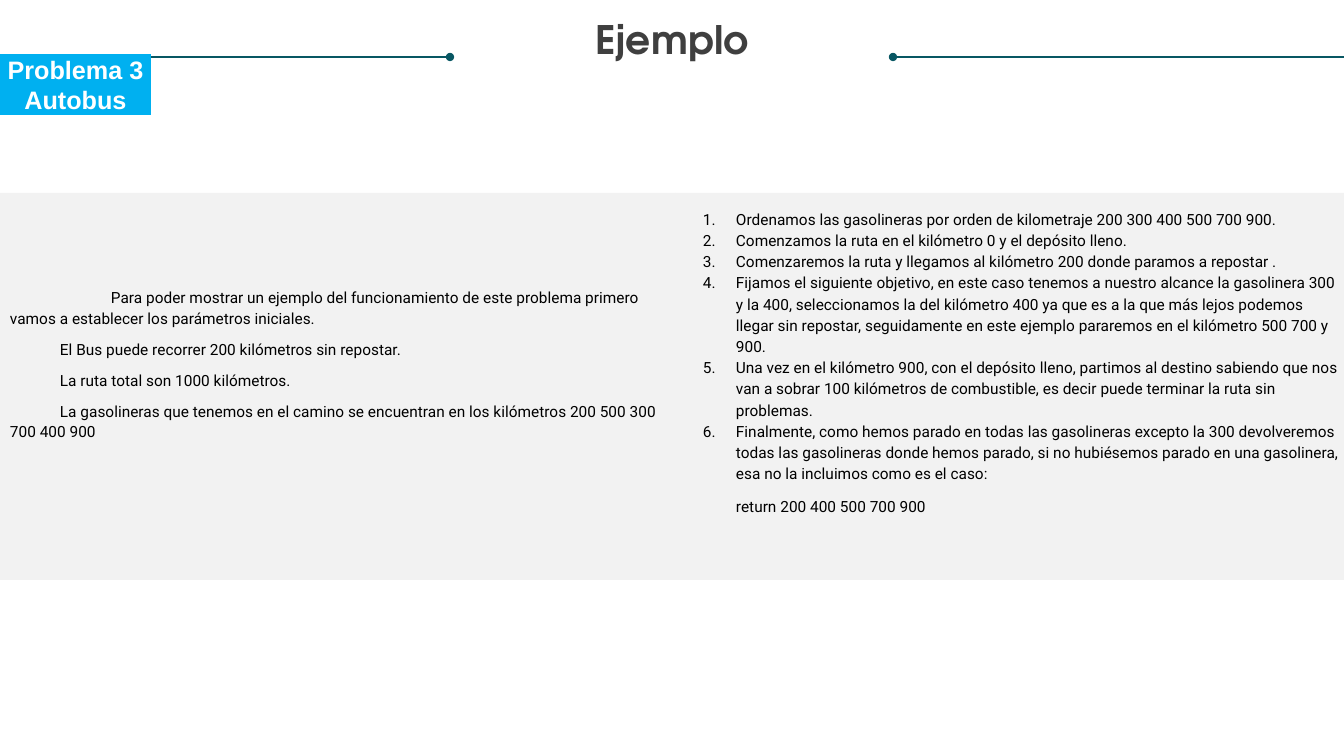
from dataclasses import dataclass

from lxml.etree import SubElement
from pptx import Presentation
from pptx.dml.color import RGBColor
from pptx.enum.shapes import MSO_CONNECTOR, MSO_SHAPE
from pptx.enum.text import MSO_ANCHOR, MSO_AUTO_SIZE, PP_ALIGN
from pptx.oxml.ns import qn
from pptx.util import Pt

SCALE = 12192000 / 1344


@dataclass(frozen=True)
class Theme:
    line: str = "085763"
    badge: str = "00B0F0"
    panel: str = "F2F2F2"
    title: str = "3F3F3F"
    body: str = "000000"
    light: str = "FFFFFF"
    head: str = "TeX Gyre Adventor"
    label: str = "Arial"
    text: str = "Roboto"
    big: int = 28
    mid: int = 18
    small: int = 11


THEME = Theme()

SETUP = [
    "Para poder mostrar un ejemplo del funcionamiento de este problema primero vamos a establecer los parámetros iniciales.",
    "El Bus puede recorrer 200 kilómetros sin repostar.",
    "La ruta total son 1000 kilómetros.",
    "La gasolineras que tenemos en el camino se encuentran en los kilómetros 200 500 300 700 400 900",
]
STEPS = [
    "Ordenamos las gasolineras por orden de kilometraje 200 300 400 500 700 900.",
    "Comenzamos la ruta en el kilómetro 0 y el depósito lleno.",
    "Comenzaremos la ruta y llegamos al kilómetro 200 donde paramos a repostar .",
    "Fijamos el siguiente objetivo, en este caso tenemos a nuestro alcance la gasolinera 300 y la 400, seleccionamos la del kilómetro 400 ya que es a la que más lejos podemos llegar sin repostar, seguidamente en este ejemplo pararemos en el kilómetro 500 700 y 900.",
    "Una vez en el kilómetro 900, con el depósito lleno, partimos al destino sabiendo que nos van a sobrar 100 kilómetros de combustible, es decir puede terminar la ruta sin problemas.",
    "Finalmente, como hemos parado en todas las gasolineras excepto la 300 devolveremos todas las gasolineras donde hemos parado, si no hubiésemos parado en una gasolinera, esa no la incluimos como es el caso:",
]
RESULT = "return 200 400 500 700 900"


def px(n):
    return round(n * SCALE)


def style(para, font, size, color, bold=False):
    for run in para.runs:
        run.font.name = font
        run.font.size = Pt(size)
        run.font.bold = bold
        run.font.color.rgb = RGBColor.from_string(color)


def inset(frame, left, top, right, bottom):
    frame.margin_left, frame.margin_top = px(left), px(top)
    frame.margin_right, frame.margin_bottom = px(right), px(bottom)
    frame.vertical_anchor = MSO_ANCHOR.TOP
    frame.word_wrap = True


def block(slide, box, fill):
    shape = slide.shapes.add_shape(MSO_SHAPE.RECTANGLE, *map(px, box))
    shape.shadow.inherit = False
    shape.fill.solid()
    shape.fill.fore_color.rgb = RGBColor.from_string(fill)
    shape.line.fill.background()
    return shape


def rule(slide, start, end, y):
    line = slide.shapes.add_connector(
        MSO_CONNECTOR.STRAIGHT, px(start), px(y), px(end), px(y))
    line.line.color.rgb = RGBColor.from_string(THEME.line)
    line.line.width = Pt(0.75)
    props = line._element.spPr
    SubElement(props.find(qn("a:ln")), qn("a:tailEnd"), type="oval")
    SubElement(props, qn("a:effectLst"))


def header(slide, box):
    left, top, width, height = box
    title = slide.shapes.title
    title.left, title.top = px(left + 25), px(top + 21)
    title.width, title.height = px(width - 50), px(height - 21)
    frame = title.text_frame
    frame.text = "Ejemplo"
    frame.auto_size = MSO_AUTO_SIZE.NONE
    inset(frame, 0, 0, 0, 0)
    para = frame.paragraphs[0]
    para.alignment = PP_ALIGN.CENTER
    para.line_spacing = 0.9
    style(para, THEME.head, THEME.big, THEME.title, True)
    for start, end in ((left, left + 450), (left + width, left + width - 451)):
        rule(slide, start, end, top + 57)


def badge(slide, box):
    frame = block(slide, box, THEME.badge).text_frame
    inset(frame, 0, 0, 0, 0)
    para = frame.paragraphs[0]
    para.text = "Problema 3\vAutobus"
    para.alignment = PP_ALIGN.CENTER
    style(para, THEME.label, THEME.mid, THEME.light, True)


def panel(slide, box, top, items):
    frame = block(slide, box, THEME.panel).text_frame
    inset(frame, 10, top, 10, 5)
    frame.text = "\n".join(item[0] for item in items)
    for para, (_, margin, indent, space, gap, count) in zip(frame.paragraphs, items):
        para.alignment = PP_ALIGN.LEFT
        para.line_spacing = space
        para.space_before = Pt(gap)
        style(para, THEME.text, THEME.small, THEME.body)
        props = para._p.get_or_add_pPr()
        props.set("marL", str(px(margin)))
        props.set("indent", str(px(indent)))
        if count:
            color = SubElement(props, qn("a:buClr"))
            SubElement(color, qn("a:srgbClr"), val=THEME.body)
            SubElement(props, qn("a:buFont"), typeface=THEME.text)
            SubElement(props, qn("a:buAutoNum"), type="arabicPeriod")


def main():
    deck = Presentation()
    deck.slide_width, deck.slide_height = px(1344), px(756)
    slide = deck.slides.add_slide(deck.slide_layouts[5])
    header(slide, (0, 0, 1344, 63))
    badge(slide, (0, 54, 151, 61))
    setup = [(SETUP[0], 0, 101, 1.15, 0, False)]
    setup += [(text, 0, 50, 1.08, 8, False) for text in SETUP[1:]]
    steps = [(text, 50, -33, 1.15, 0, True) for text in STEPS]
    steps.append((RESULT, 50, 0, 1.15, 8, False))
    for col, (top, items) in enumerate(((92, setup), (14, steps))):
        panel(slide, (col * 676, 193, 676, 387), top, items)
    deck.save("out.pptx")


if __name__ == "__main__":
    main()
